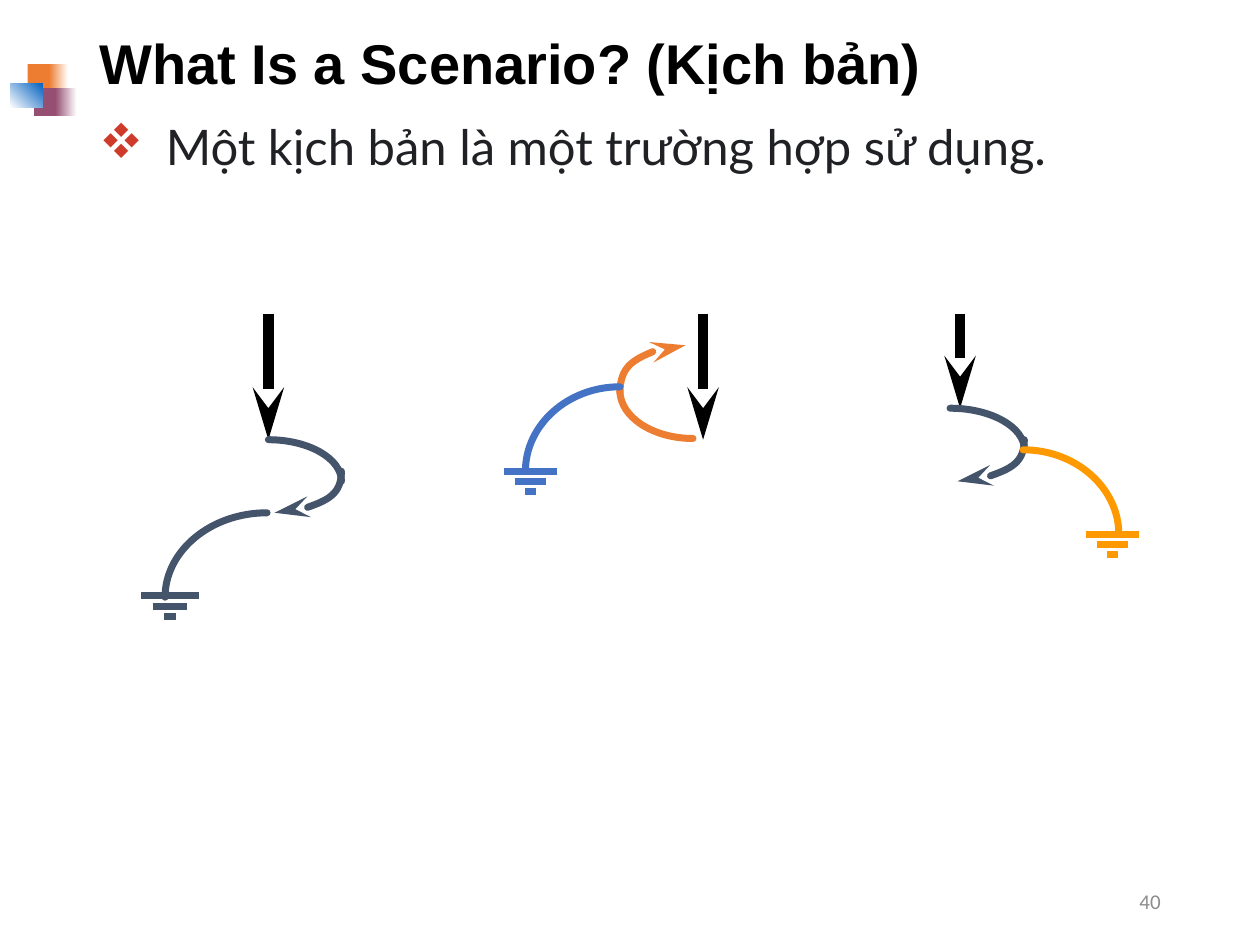
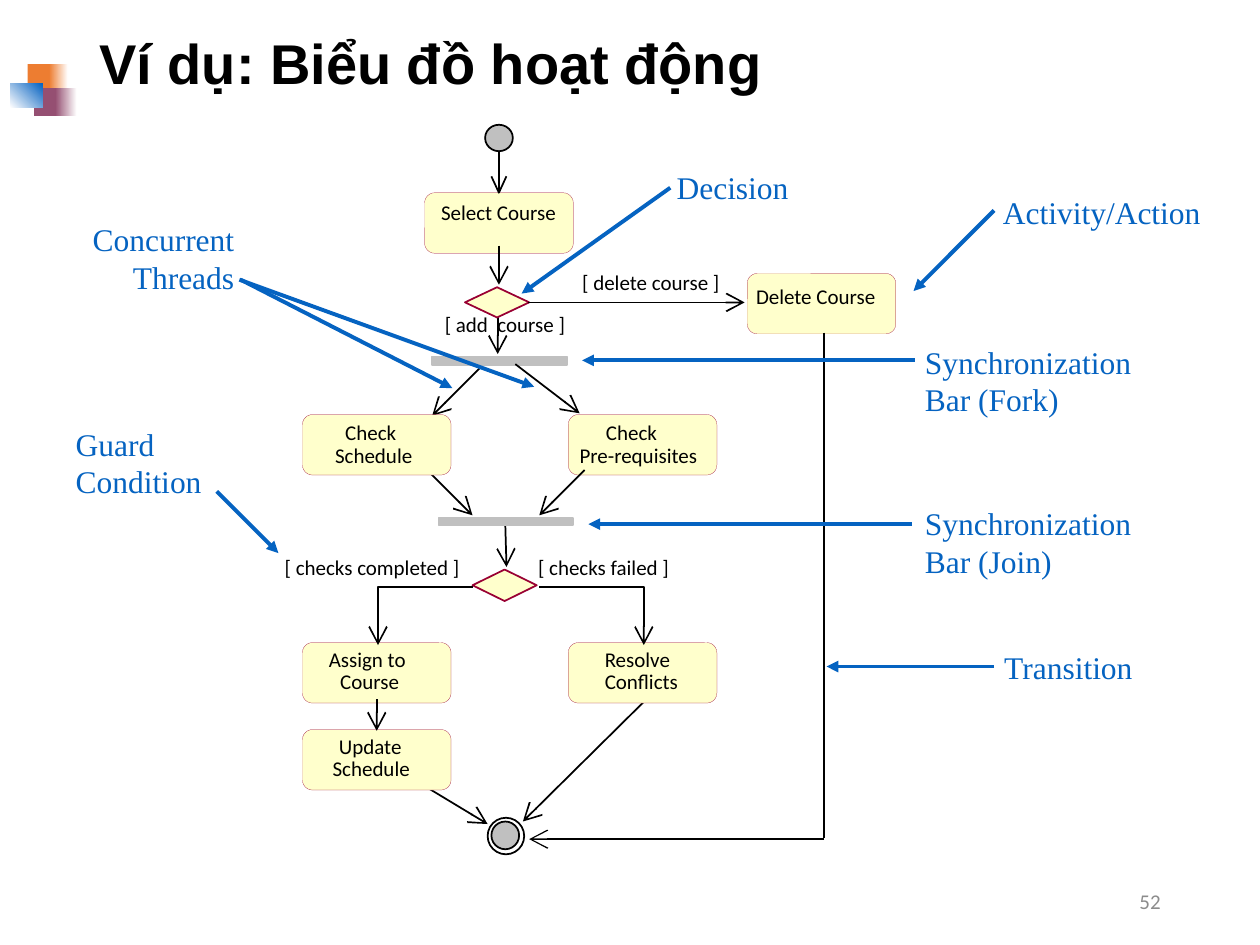
from dataclasses import dataclass

from lxml.etree import SubElement
from pptx import Presentation
from pptx.dml.color import RGBColor
from pptx.enum.shapes import MSO_CONNECTOR as Link, MSO_SHAPE as Kind
from pptx.enum.text import MSO_ANCHOR as Anchor, PP_ALIGN as Align
from pptx.oxml.ns import qn
from pptx.util import Inches, Pt

COLUMNS, ROWS = 100, 75
CELL = Inches(10) // COLUMNS


class Theme:
    black, white, gray, silver = "000000", "FFFFFF", "8C8C8C", "C0C0C0"
    orange, plum, blue, slate = "ED7D31", "954F72", "0563C1", "44546A"
    azure, amber, bullet, ink = "4472C4", "FF9900", "CE3B2A", "202124"
    cream, maroon = "FFFFCC", "990033"
    title = ("Arial", 32, black, True)
    body = ("Lato", 28, ink, False)
    lead = ("Calibri", 28, black, False)
    number = ("Calibri", 12, gray, False)
    label = ("Calibri", 12, black, False)
    note = ("Times New Roman", 18, blue, False)
    hairline, fine, thin, medium, curve, stem = 0.1, 0.75, 1, 2.25, 4, 6
    stealth = ("stealth", "med", "lg")
    open_head = ("arrow", "lg", "lg")
    solid_head = ("triangle", "med", "med")


@dataclass
class Box:
    left: float
    top: float
    width: float
    height: float

    def inner(self, left, top, width, height):
        return Box(self.left + left, self.top + top, width, height)

    def point(self, x, y):
        return round((self.left + x) * CELL), round((self.top + y) * CELL)

    def frame(self):
        return (*self.point(0, 0), round(self.width * CELL), round(self.height * CELL))


PAGE = Box(0, 0, COLUMNS, ROWS)


def rgb(value):
    return RGBColor.from_string(value)


def style_span(span, style):
    name, size, color, bold = style
    span.font.name, span.font.size, span.font.bold = name, Pt(size), bold
    span.font.color.rgb = rgb(color)


def write(page, box, text, style, align=Align.LEFT, anchor=Anchor.TOP, inset=(1, 0.5)):
    frame = page.shapes.add_textbox(*box.frame()).text_frame
    frame.word_wrap = True
    frame.vertical_anchor = anchor
    frame.margin_left = frame.margin_right = round(inset[0] * CELL)
    frame.margin_top = frame.margin_bottom = round(inset[1] * CELL)
    frame.text = text
    for para in frame.paragraphs:
        para.alignment = align
        for span in para.runs:
            style_span(span, style)
    return frame


def draw(page, box, kind, fill=None, line=None, width=Theme.thin):
    shape = page.shapes.add_shape(kind, *box.frame())
    shape.shadow.inherit = False
    if fill:
        shape.fill.solid()
        shape.fill.fore_color.rgb = rgb(fill)
    else:
        shape.fill.background()
    if line:
        shape.line.color.rgb = rgb(line)
        shape.line.width = Pt(width)
    else:
        shape.line.fill.background()
    return shape


def outline(page, box, points):
    first, *rest = [box.point(*point) for point in points]
    builder = page.shapes.build_freeform(*first, scale=1.0)
    builder.add_line_segments(rest, close=False)
    shape = builder.convert_to_shape()
    shape.shadow.inherit = False
    shape.fill.background()
    return shape


def stroke(shape, color, width, head=None, cap=None):
    shape.line.color.rgb = rgb(color)
    shape.line.width = Pt(width)
    line = shape.line._get_or_add_ln()
    if cap:
        line.set("cap", cap)
    if head:
        kind, across, along = head
        SubElement(line, qn("a:tailEnd"), type=kind, w=across, len=along)


def trace(page, box, points, color=Theme.black, width=Theme.thin, head=None):
    if len(points) == 2:
        start, end = points
        shape = page.shapes.add_connector(Link.STRAIGHT, *box.point(*start), *box.point(*end))
        SubElement(shape._element.spPr, qn("a:effectLst"))
    else:
        shape = outline(page, box, points)
    stroke(shape, color, width, head)


def quarter(page, box, flat, steep, color, head=None):
    pull = 0.55
    points = [
        flat,
        (flat[0] + pull * (steep[0] - flat[0]), flat[1]),
        (steep[0], steep[1] + pull * (flat[1] - steep[1])),
        steep,
    ]
    if head:
        points.reverse()
    shape = outline(page, box, points)
    route = shape._element.spPr.find(".//" + qn("a:path"))
    bend = SubElement(route, qn("a:cubicBezTo"))
    for segment in route.findall(qn("a:lnTo")):
        bend.append(segment[0])
        route.remove(segment)
    stroke(shape, color, Theme.curve, head, "rnd")


def ornament(page, box):
    tiles = [
        ((1.4, 0, 2, 2.2), Theme.orange, None, 0),
        ((3.1, 0, 1.5, 2.2), Theme.orange, Theme.white, 0),
        ((1.9, 1.9, 1.9, 2.2), Theme.plum, None, 0),
        ((3.6, 1.9, 1.7, 2.2), Theme.plum, Theme.white, 0),
        ((0, 1.5, 2.6, 1.9), Theme.white, Theme.blue, 45),
    ]
    for place, first, last, angle in tiles:
        tile = draw(page, box.inner(*place), Kind.RECTANGLE, first)
        if last:
            tile.fill.gradient()
            tile.fill.gradient_angle = angle
            for stop, color in zip(tile.fill.gradient_stops, (first, last)):
                stop.color.rgb = rgb(color)


def start_page(deck, title, number):
    page = deck.slides.add_slide(deck.slide_layouts[6])
    ornament(page, PAGE.inner(0.8, 5.1, 5.3, 4.1))
    heading = write(page, PAGE.inner(6.9, 1.25, 86.2, 8.1), title, Theme.title, anchor=Anchor.MIDDLE)
    heading.paragraphs[0].line_spacing = 0.9
    write(page, PAGE.inner(70.6, 69.5, 22.5, 4), number, Theme.number, Align.RIGHT, Anchor.MIDDLE)
    return page


def bullet_text(page, box, text):
    para = write(page, box, " ", Theme.lead).paragraphs[0]
    span = para.add_run()
    span.text = text
    style_span(span, Theme.body)
    para.line_spacing = 0.9
    para.space_before = Pt(10)
    props = para._p.get_or_add_pPr()
    indent = round(4.4 * CELL)
    props.set("marL", str(indent))
    props.set("indent", str(-indent))
    color = SubElement(props, qn("a:buClr"))
    SubElement(color, qn("a:srgbClr"), val=Theme.bullet)
    SubElement(props, qn("a:buFont"), typeface="Wingdings", charset="2")
    SubElement(props, qn("a:buChar"), char="v")


def ground(page, box, middle, top, span, color):
    for row, share in enumerate((1, 0.6, 0.2)):
        half = span * share / 2
        y = top + row * 0.82
        trace(page, box, [(middle - half, y), (middle + half, y)], color, Theme.curve)


def scenario(page, box, stem, hook, back, tail, base, colors):
    x, length = stem
    trace(page, box, [(x, 0), (x, length)], Theme.black, Theme.stem, Theme.stealth)
    quarter(page, box, *hook, colors[0])
    quarter(page, box, *back, colors[0], Theme.stealth)
    quarter(page, box, *tail, colors[1])
    ground(page, box, *base, colors[1])


def scenario_page(deck):
    page = start_page(deck, "What Is a Scenario? (Kịch bản)", "40")
    bullet_text(page, PAGE.inner(6.9, 9.3, 86.2, 56.6), "Một kịch bản là một trường hợp sử dụng.")
    scenario(page, PAGE.inner(40, 24.9, 16, 15), (15.8, 10),
             ((15, 9.9), (9.2, 6.1)), ((14.4, 2.5), (9.2, 6.3)),
             ((9.2, 5.8), (1.7, 12.5)), (2.1, 12.5, 4.2), (Theme.orange, Theme.azure))
    scenario(page, PAGE.inner(75.4, 24.9, 15, 20), (0.8, 7.5),
             ((0, 7.5), (5.9, 10.8)), ((0.6, 13.3), (5.9, 10)),
             ((5.8, 10.8), (13.4, 17.5)), (12.9, 17.5, 4.2), (Theme.slate, Theme.amber))
    scenario(page, PAGE.inner(11.2, 24.9, 16, 25), (10.1, 10),
             ((10.1, 10), (15.9, 13.3)), ((10.6, 15.8), (15.9, 12.5)),
             ((10, 15.8), (1.9, 22.5)), (2.3, 22.4, 4.6), (Theme.slate, Theme.slate))


def label(page, box, x, y, text):
    write(page, box.inner(x, y, len(text) * 0.85 + 0.6, 2), text, Theme.label, inset=(0, 0))


def activity(page, box, drop, lines):
    shape = draw(page, box, Kind.ROUNDED_RECTANGLE, Theme.cream, Theme.maroon, Theme.hairline)
    shape.adjustments[0] = 0.167
    for row, (indent, text) in enumerate(lines):
        label(page, box, indent, drop + row * 1.8, text)


def activity_flow(page, box):
    near, far = 4, 25.1
    arrows_behind = [
        [(13.9, 27.3), (17.5, 30.9)],
        [(12.9, 51.9), (18.7, 55.4)],
        [(31.3, 45.5), (21.5, 55.2)],
        [(18.7, 18.6), (14.3, 23)],
        [(20.1, 31.5), (20.2, 35)],
        [(19.5, 15), (19.5, 18.1)],
    ]
    arrows_ahead = [
        [(19.6, 9.5), (19.6, 12.6)],
        [(21.9, 14), (39.1, 14)],
        [(20.9, 18.9), (26, 22.8)],
        [(26.4, 27.3), (22.8, 30.9)],
        [(17.5, 36.6), (10, 36.6), (10, 41.2)],
        [(22.8, 36.6), (31.1, 36.6), (31.1, 41.2)],
        [(9.9, 45.5), (9.9, 48)],
    ]
    activities = [
        (39.3, 11.7, 0.8, [(0.7, "Delete Course")]),
        (13.7, 5.3, 0.5, [(1.3, "Select Course")]),
        (near, 22.9, 0.4, [(3.4, "Check"), (2.6, "Schedule")]),
        (far, 22.9, 0.4, [(3, "Check"), (0.9, "Pre-requisites")]),
        (near, 41, 0.3, [(2.1, "Assign to"), (3, "Course")]),
        (far, 41, 0.3, [(2.9, "Resolve"), (2.9, "Conflicts")]),
        (near, 47.9, 0.3, [(2.9, "Update"), (2.4, "Schedule")]),
    ]
    nodes = [
        (Kind.OVAL, (18.5, -0.1, 2.2, 2.1), Theme.silver, Theme.black),
        (Kind.DIAMOND, (16.9, 12.8, 5.1, 2.4), Theme.cream, Theme.maroon),
        (Kind.OVAL, (18.7, 54.9, 2.9, 2.9), None, Theme.black),
        (Kind.OVAL, (19, 55.2, 2.2, 2.2), Theme.silver, Theme.black),
        (Kind.DIAMOND, (17.5, 35.2, 5.1, 2.5), Theme.cream, Theme.maroon),
        (Kind.RECTANGLE, (14.3, 18.3, 10.7, 0.7), Theme.silver, Theme.silver),
        (Kind.RECTANGLE, (14.8, 31.1, 10.7, 0.6), Theme.silver, Theme.silver),
    ]
    for points in arrows_behind:
        trace(page, box, points, head=Theme.open_head)
    for x, y, drop, lines in activities:
        activity(page, box.inner(x, y, 11.8, 4.8), drop, lines)
    for kind, place, fill, line in nodes:
        draw(page, box.inner(*place), kind, fill, line)
    for points in arrows_ahead:
        trace(page, box, points, head=Theme.open_head)
    trace(page, box, [(19.6, 2), (19.6, 5.3), (20.2, 4)])
    trace(page, box, [(19.6, 5.3), (19, 4)])
    trace(page, box, [(45.4, 16.4), (45.4, 56.5)])
    trace(page, box, [(45.4, 56.6), (22, 56.6)], width=Theme.fine, head=Theme.open_head)

    for x, y, text in [
        (15.3, 14.7, "[ add  course ]"),
        (26.2, 11.4, "[ delete course ]"),
        (2.6, 34, "[ checks completed ]"),
        (22.7, 34, "[ checks failed ]"),
    ]:
        label(page, box, x, y, text)


def callouts(page, box):
    notes = [
        ((78.4, 14.7, 19.3, 4.2), "Activity/Action", [((78.9, 16.7), (72.5, 23.1))]),
        ((72.2, 26.6, 20.5, 7.2), "Synchronization\nBar (Fork)", [((72.6, 28.6), (46.2, 28.6))]),
        ((4.8, 33.1, 13.1, 7.2), "Guard\nCondition", [((17.2, 39), (22.1, 43.9))]),
        ((72.2, 39.4, 20.5, 7.2), "Synchronization\nBar (Join)", [((72.4, 41.6), (46.7, 41.6))]),
        ((52.5, 12.7, 12.2, 4.2), "Decision", [((53.2, 14.9), (41.4, 23.3))]),
        ((3.1, 16.9, 16.7, 7.2), "Concurrent Threads",
         [((19.1, 22.2), (35.9, 30.8)), ((19, 22.2), (42.4, 30.7))]),
        ((78.5, 50.8, 14.2, 4.2), "Transition", [((78.9, 52.9), (65.6, 52.9))]),
    ]
    for place, text, pointers in notes:
        align = Align.RIGHT if len(pointers) > 1 else Align.LEFT
        write(page, box.inner(*place), text, Theme.note, align, inset=(1.2, 0.6))
        for points in pointers:
            trace(page, box, points, Theme.blue, Theme.medium, Theme.solid_head)


def activity_page(deck):
    page = start_page(deck, "Ví dụ: Biểu đồ hoạt động", "52")
    activity_flow(page, PAGE.inner(20, 10, 52, 58))
    callouts(page, PAGE)


deck = Presentation()
deck.slide_width, deck.slide_height = COLUMNS * CELL, ROWS * CELL
scenario_page(deck)
activity_page(deck)
deck.save("out.pptx")
